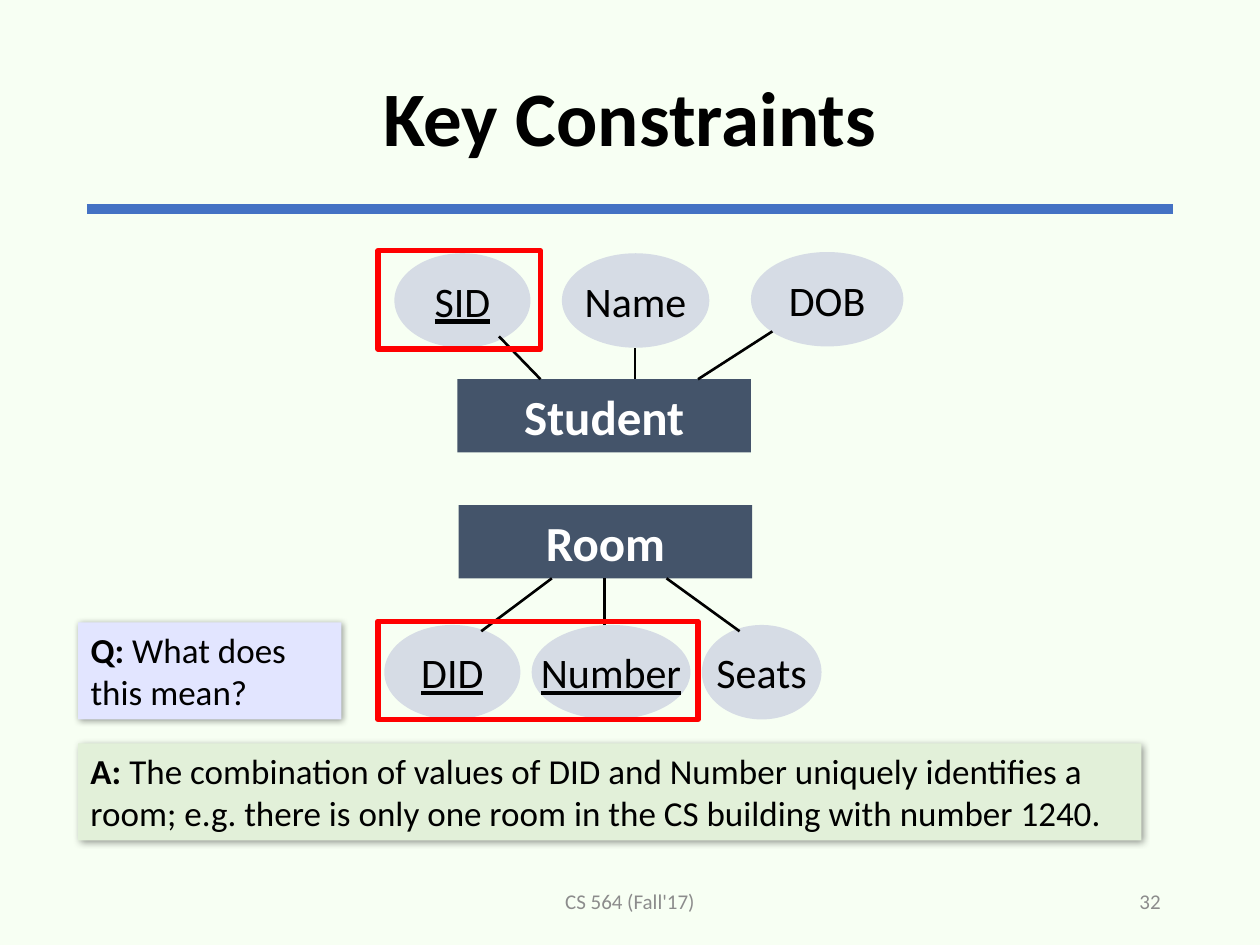
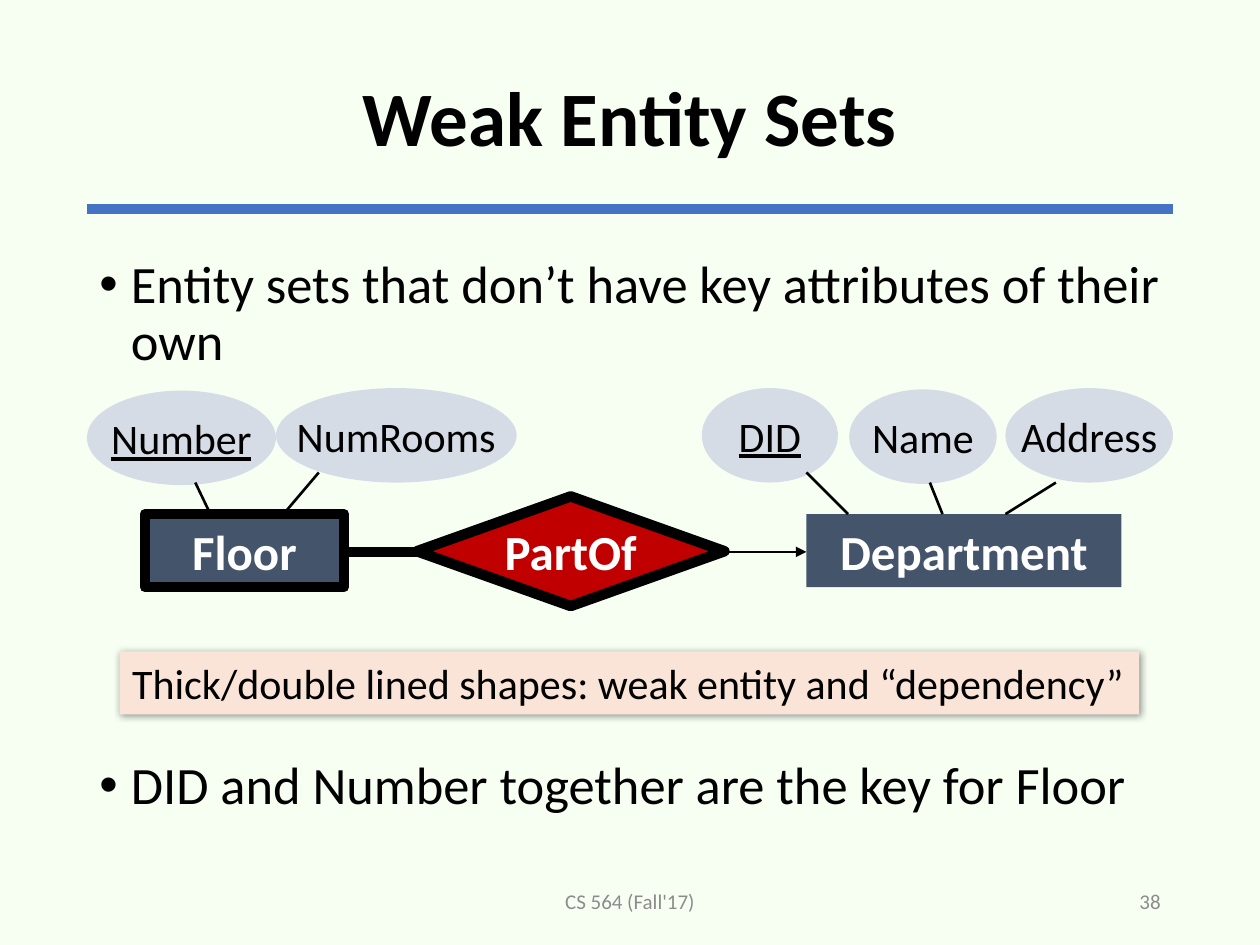
import pptx
import pptx.dml.color
import pptx.enum.shapes
import pptx.enum.text
import pptx.oxml
import pptx.oxml.ns
import pptx.util
from lxml import etree

PX = 9144
RGB = pptx.dml.color.RGBColor
SHAPE = pptx.enum.shapes.MSO_SHAPE
ALIGN = pptx.enum.text.PP_ALIGN
ANCHOR = pptx.enum.text.MSO_ANCHOR
qn = pptx.oxml.ns.qn

MINT = RGB(0xF7, 0xFF, 0xF3)
BLUE = RGB(0x44, 0x72, 0xC4)
SLATE = RGB(0x44, 0x54, 0x6A)
PALE = RGB(0xD6, 0xDC, 0xE5)
BLACK = RGB(0, 0, 0)
WHITE = RGB(255, 255, 255)
GREY = RGB(0x8C, 0x8C, 0x8C)
RED = RGB(255, 0, 0)
DARK_RED = RGB(0xC0, 0, 0)
LILAC = RGB(0xE2, 0xE5, 0xFF)
GREEN = RGB(0xE2, 0xF0, 0xD9)
PEACH = RGB(0xFA, 0xE4, 0xD7)

FONT = "Calibri"
LEFT, WIDTH = 69, 862
ENTITY_H, ATTR_H = 58, 75
THIN, THICK = 1.5, 6


class Deck:
    def __init__(self):
        self.prs = pptx.Presentation()
        self.prs.slide_width = 1000 * PX
        self.prs.slide_height = 750 * PX

    def slide(self, title, number):
        self.s = self.prs.slides.add_slide(self.prs.slide_layouts[6])
        self.s.background.fill.solid()
        self.s.background.fill.fore_color.rgb = MINT
        self.line(LEFT, 166, LEFT + WIDTH, 166, THICK, BLUE)
        p = self.text(LEFT, 24, WIDTH, 145, title, 44, bold=True)
        p.line_spacing = 0.9
        self.text(331, 695, 338, 40, "CS 564 (Fall'17)", 12, GREY)
        self.text(706, 695, 225, 40, number, 12, GREY, ALIGN.RIGHT)

    def run(self, p, text, size, color=BLACK, bold=False, underline=False):
        r = p.add_run()
        r.text = text
        r.font.name = FONT
        r.font.size = pptx.util.Pt(size)
        r.font.color.rgb = color
        r.font.bold = bold
        if underline:
            r.font.underline = True

    def text(self, x, y, w, h, text, size, color=BLACK, align=ALIGN.CENTER,
             bold=False, anchor=ANCHOR.MIDDLE):
        tf = self.s.shapes.add_textbox(x * PX, y * PX, w * PX, h * PX).text_frame
        tf.word_wrap = True
        tf.vertical_anchor = anchor
        p = tf.paragraphs[0]
        p.alignment = align
        self.run(p, text, size, color, bold)
        return p

    def bullet(self, y, h, text):
        p = self.text(LEFT, y, WIDTH, h, text, 30, align=ALIGN.LEFT,
                      anchor=ANCHOR.TOP)
        pPr = p._p.get_or_add_pPr()
        pPr.set("marL", str(25 * PX))
        pPr.set("indent", str(-25 * PX))
        font = etree.SubElement(pPr, qn("a:buFont"))
        font.set("typeface", "Arial")
        etree.SubElement(pPr, qn("a:buChar")).set("char", "•")
        p.line_spacing = 0.9

    def shape(self, kind, x, y, w, h, fill=None, border=None, weight=THIN):
        sp = self.s.shapes.add_shape(kind, x * PX, y * PX, w * PX, h * PX)
        sp.shadow.inherit = False
        if fill is None:
            sp.fill.background()
        else:
            sp.fill.solid()
            sp.fill.fore_color.rgb = fill
        if border is None:
            sp.line.fill.background()
        else:
            sp.line.color.rgb = border
            sp.line.width = pptx.util.Pt(weight)
        return sp

    def label(self, sp, text, size, color, bold=False, underline=False):
        tf = sp.text_frame
        tf.word_wrap = False
        tf.vertical_anchor = ANCHOR.MIDDLE
        p = tf.paragraphs[0]
        p.alignment = ALIGN.CENTER
        self.run(p, text, size, color, bold, underline)

    def entity(self, x, y, w, text, border=None):
        sp = self.shape(SHAPE.RECTANGLE, x, y, w, ENTITY_H, SLATE, border, THICK)
        self.label(sp, text, 28, WHITE, bold=True)

    def relationship(self, x, y, w, h, text):
        sp = self.shape(SHAPE.DIAMOND, x, y, w, h, DARK_RED, BLACK, THICK)
        self.label(sp, text, 28, WHITE, bold=True)

    def attributes(self, *items):
        for x, y, w, text, key in items:
            sp = self.shape(SHAPE.OVAL, x, y, w, ATTR_H, PALE)
            self.label(sp, text, 24, BLACK, underline=key)

    def frame(self, x, y, w, h):
        self.shape(SHAPE.RECTANGLE, x, y, w, h, border=RED, weight=3)

    def line(self, x1, y1, x2, y2, weight=THIN, color=BLACK, arrow=False):
        c = self.s.shapes.add_connector(
            pptx.enum.shapes.MSO_CONNECTOR.STRAIGHT,
            x1 * PX, y1 * PX, x2 * PX, y2 * PX)
        c.line.color.rgb = color
        c.line.width = pptx.util.Pt(weight)
        spPr = c.element.spPr
        if arrow:
            tail = etree.SubElement(spPr.find(qn("a:ln")), qn("a:tailEnd"))
            tail.set("type", "triangle")
        etree.SubElement(spPr, qn("a:effectLst"))

    def lines(self, *ends):
        for end in ends:
            self.line(*end)

    def note(self, x, y, w, h, fill, text, size, lead=None):
        sp = self.shape(SHAPE.RECTANGLE, x, y, w, h, fill)
        effects = sp.element.spPr.find(qn("a:effectLst"))
        effects.append(pptx.oxml.parse_xml(
            f'<a:outerShdw {pptx.oxml.ns.nsdecls("a")} blurRad="50800" '
            'dist="12700" dir="2700000" algn="tl" rotWithShape="0">'
            '<a:srgbClr val="000000"><a:alpha val="40000"/></a:srgbClr>'
            '</a:outerShdw>'))
        tf = sp.text_frame
        tf.word_wrap = True
        tf.vertical_anchor = ANCHOR.TOP
        p = tf.paragraphs[0]
        p.alignment = ALIGN.LEFT
        if lead:
            self.run(p, lead, size, bold=True)
        self.run(p, text, size)


def key_constraints(d):
    d.slide("Key Constraints", "32")
    d.entity(363, 301, 233, "Student")
    d.attributes((446, 201, 117, "Name", False),
                 (596, 200, 121, "DOB", False),
                 (313, 201, 108, "SID", True))
    d.lines((429, 301, 396, 267), (504, 301, 504, 276), (554, 301, 613, 263))
    d.frame(300, 199, 129, 78)

    d.entity(364, 401, 233, "Room")
    d.attributes((422, 496, 126, "Number", True),
                 (557, 496, 95, "Seats", False),
                 (305, 496, 108, "DID", True))
    d.lines((438, 459, 382, 501), (480, 459, 480, 496), (529, 459, 587, 501))
    d.frame(300, 493, 254, 78)

    d.note(62, 494, 209, 77, LILAC, "What does this mean?", 20, "Q: ")
    d.note(62, 590, 844, 77, GREEN,
           "The combination of values of DID and Number uniquely identifies a "
           "room; e.g. there is only one room in the CS building with number "
           "1240.", 20, "A: ")


def weak_entity_sets(d):
    d.slide("Weak Entity Sets", "38")
    d.bullet(200, 100, "Entity sets that don’t have key attributes of their own")
    d.bullet(598, 60, "DID and Number together are the key for Floor")

    d.entity(115, 408, 158, "Floor", BLACK)
    d.attributes((69, 310, 150, "Number", True),
                 (219, 308, 191, "NumRooms", False))
    d.lines((167, 408, 155, 383), (225, 408, 253, 375))

    d.entity(640, 408, 250, "Department")
    d.attributes((674, 309, 117, "Name", False),
                 (798, 308, 133, "Address", False),
                 (557, 308, 108, "DID", True))
    d.lines((673, 408, 640, 375), (748, 408, 738, 383), (798, 408, 838, 383))

    d.line(273, 438, 331, 438, THICK)
    d.relationship(331, 394, 244, 87, "PartOf")
    d.line(575, 438, 640, 438, arrow=True)
    d.note(95, 517, 809, 50, PEACH,
           "Thick/double lined shapes: weak entity and “dependency”", 24)


def main():
    d = Deck()
    key_constraints(d)
    weak_entity_sets(d)
    d.prs.save("out.pptx")


if __name__ == "__main__":
    main()
